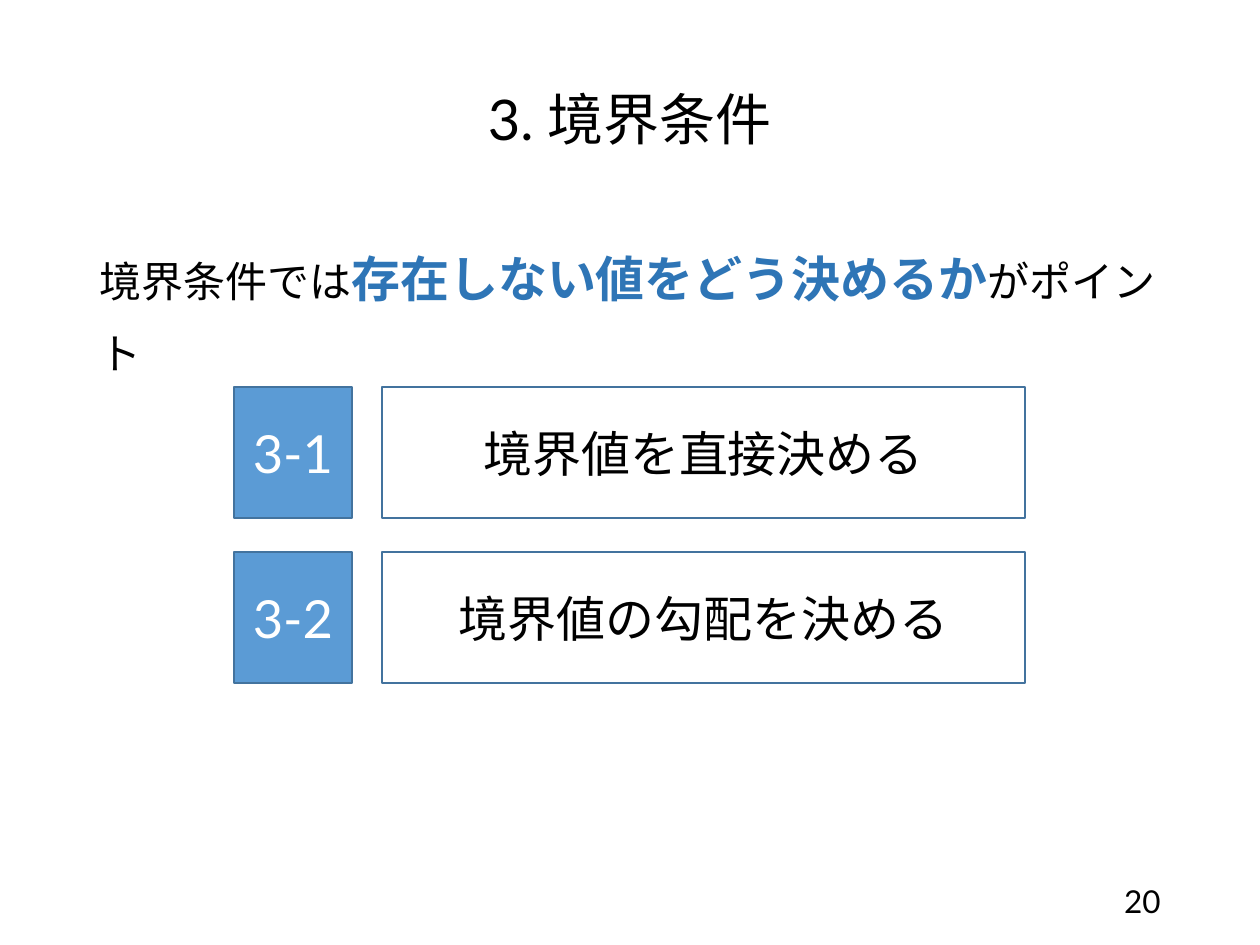
import pptx
import pptx.dml.color
import pptx.enum.shapes
import pptx.enum.text
import pptx.util

ALIGN = pptx.enum.text.PP_ALIGN
ANCHOR = pptx.enum.text.MSO_ANCHOR
PIXEL = pptx.util.Inches(1) / 126


def color(value):
    """Turn a hex string into a colour."""
    return pptx.dml.color.RGBColor.from_string(value)


def write(shape, runs, align=ALIGN.CENTER, anchor=ANCHOR.MIDDLE, spacing=1.0, before=0, font="Lato"):
    """Fill a shape with one paragraph of (text, size, colour, bold) runs."""
    frame = shape.text_frame
    frame.word_wrap = True
    frame.auto_size = pptx.enum.text.MSO_AUTO_SIZE.NONE
    frame.vertical_anchor = anchor
    paragraph = frame.paragraphs[0]
    paragraph.alignment = align
    paragraph.line_spacing = spacing
    paragraph.space_before = pptx.util.Pt(before)
    for text, size, hue, bold in runs:
        run = paragraph.add_run()
        run.text = text
        run.font.name = font
        run.font.size = pptx.util.Pt(size)
        run.font.bold = bold
        run.font.color.rgb = color(hue)


class Deck:
    """Hold the style and the current slide."""

    black, white = "000000", "FFFFFF"
    fill, line, accent = "5B9BD5", "43739E", "2E75B6"

    def __init__(self, width, height):
        """Start a presentation with one title-only slide."""
        self.presentation = pptx.Presentation()
        self.presentation.slide_width, self.presentation.slide_height = self.emu(width, height)
        self.slide = self.presentation.slides.add_slide(self.presentation.slide_layouts[5])

    def emu(self, *pixels):
        """Scale pixels to EMU."""
        return [round(pixel * PIXEL) for pixel in pixels]

    def title(self, box, text):
        """Place and fill the title."""
        shape = self.slide.shapes.title
        shape.left, shape.top, shape.width, shape.height = self.emu(*box)
        write(shape, [(text, 32, self.black, False)], spacing=0.9)

    def text(self, box, runs, **style):
        """Add a text box."""
        write(self.slide.shapes.add_textbox(*self.emu(*box)), runs, **style)

    def box(self, box, text, size, hue, fill=None):
        """Add an outlined rectangle with centred text."""
        shape = self.slide.shapes.add_shape(
            pptx.enum.shapes.MSO_SHAPE.RECTANGLE, *self.emu(*box))
        shape.shadow.inherit = False
        if fill:
            shape.fill.solid()
            shape.fill.fore_color.rgb = color(fill)
        else:
            shape.fill.background()
        shape.line.color.rgb = color(self.line)
        shape.line.width = pptx.util.Pt(1)
        write(shape, [(text, size, hue, False)])


deck = Deck(1260, 945)
deck.title((87, 50, 1086, 145), "3. 境界条件")
deck.text((87, 219, 1086, 631), [
    ("境界条件では", 24, deck.black, False),
    ("存在しない値をどう決めるか", 28, deck.accent, True),
    ("がポイント", 24, deck.black, False),
], align=ALIGN.LEFT, anchor=ANCHOR.TOP, spacing=1.4, before=10)
deck.text((890, 876, 283, 50), [("20", 18, deck.black, False)], align=ALIGN.RIGHT)

for row, topic in enumerate(["境界値を直接決める", "境界値の勾配を決める"]):
    top = 387 + row * 165
    deck.box((234, top, 118, 131), f"3-{row + 1}", 30, deck.white, deck.fill)
    deck.box((382, top, 643, 131), topic, 28, deck.black)

deck.presentation.save("out.pptx")
